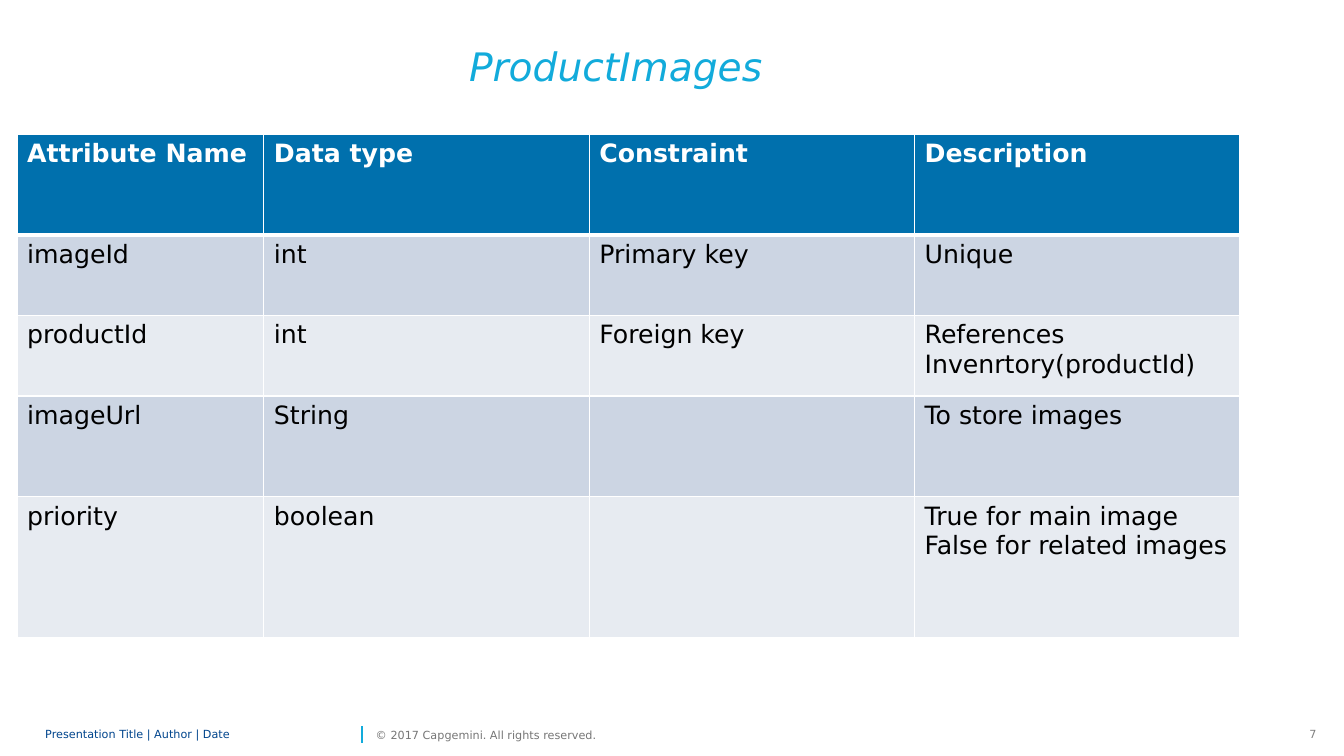
import pptx
import pptx.util
import pptx.dml.color
import pptx.enum.shapes
import pptx.enum.text
import pptx.oxml
import pptx.oxml.ns
from pptx.util import Cm, Pt

RGB = pptx.dml.color.RGBColor
ALIGN = pptx.enum.text.PP_ALIGN
ANCHOR = pptx.enum.text.MSO_ANCHOR
FONT = "DejaVu Sans"
WHITE = RGB(0xFF, 0xFF, 0xFF)
BLACK = RGB(0, 0, 0)
CYAN = RGB(0x12, 0xAB, 0xDB)
BLUE = RGB(0x00, 0x70, 0xAD)
NAVY = RGB(0x00, 0x45, 0x8D)
GREY = RGB(0x76, 0x76, 0x76)
PALE = RGB(0x80, 0x80, 0x80)
BANDS = (RGB(0xE7, 0xEB, 0xF1), RGB(0xCC, 0xD5, 0xE3))

COLS = (6.22, 8.2, 8.2, 8.2)
ROWS = (
    (2.54, ("Attribute Name", "Data type", "Constraint", "Description")),
    (2.03, ("imageId", "int", "Primary key", "Unique")),
    (2.03, ("productId", "int", "Foreign key", "References Invenrtory(productId)")),
    (2.54, ("imageUrl", "String", "", "To store images")),
    (3.56, ("priority", "boolean", "", "True for main image\nFalse for related images")),
)


def write(frame, text, size=18, color=BLACK, bold=False, italic=False,
          align=ALIGN.LEFT, space=None, after=None):
    for i, line in enumerate(text.split("\n")):
        para = frame.add_paragraph() if i else frame.paragraphs[0]
        para.alignment = align
        para.line_spacing = space
        para.space_after = after
        run = para.add_run()
        run.text = line
        font = run.font
        font.name = FONT
        font.size = Pt(size)
        font.bold = bold
        font.italic = italic
        font.color.rgb = color


def clear(frame, anchor):
    frame.margin_left = frame.margin_right = 0
    frame.margin_top = frame.margin_bottom = 0
    frame.vertical_anchor = anchor


def add_title(slide, text):
    title = slide.shapes.title
    title.left, title.top = Cm(7.82), Cm(1.47)
    title.width, title.height = Cm(15.39), Cm(1.22)
    frame = title.text_frame
    frame.auto_size = pptx.enum.text.MSO_AUTO_SIZE.NONE
    clear(frame, ANCHOR.TOP)
    write(frame, text, size=28, color=CYAN, italic=True,
          align=ALIGN.CENTER, space=Pt(22), after=Pt(6))


def add_edge(cell, side, width):
    xml = (f'<a:{side} {pptx.oxml.ns.nsdecls("a")} w="{Pt(width)}">'
           f'<a:solidFill><a:srgbClr val="{WHITE}"/></a:solidFill></a:{side}>')
    cell._tc.get_or_add_tcPr().append(pptx.oxml.parse_xml(xml))


def add_grid(slide):
    heights = [row[0] for row in ROWS]
    table = slide.shapes.add_table(
        len(ROWS), len(COLS), Cm(0.43), Cm(3.38),
        Cm(sum(COLS)), Cm(sum(heights))).table
    for col, width in zip(table.columns, COLS):
        col.width = Cm(width)
    for r, (height, texts) in enumerate(ROWS):
        table.rows[r].height = Cm(height)
        head = r == 0
        for c, text in enumerate(texts):
            cell = table.cell(r, c)
            add_edge(cell, "lnL", 1)
            add_edge(cell, "lnR", 1)
            add_edge(cell, "lnT", 3 if r == 1 else 1)
            add_edge(cell, "lnB", 3 if head else 1)
            cell.fill.solid()
            cell.fill.fore_color.rgb = BLUE if head else BANDS[r % 2]
            if text:
                write(cell.text_frame, text, bold=head,
                      color=WHITE if head else BLACK)


def add_note(slide, text, left, width, wrap=False, flush=True, **style):
    box = slide.shapes.add_textbox(Cm(left), Cm(18.21), Cm(width), Cm(0.61))
    frame = box.text_frame
    frame.word_wrap = wrap
    if flush:
        clear(frame, ANCHOR.MIDDLE)
    write(frame, text, size=8, **style)


def add_bar(slide):
    bar = slide.shapes.add_connector(
        pptx.enum.shapes.MSO_CONNECTOR.STRAIGHT,
        Cm(9.12), Cm(18.72), Cm(9.12), Cm(18.29))
    bar.line.color.rgb = CYAN
    bar.line.width = Pt(1)
    bar._element.spPr.append(pptx.oxml.parse_xml(
        f'<a:effectLst {pptx.oxml.ns.nsdecls("a")}/>'))


def main():
    deck = pptx.Presentation()
    deck.slide_width, deck.slide_height = Cm(33.87), Cm(19.05)
    slide = deck.slides.add_slide(deck.slide_layouts[5])
    add_note(slide, "7", 32.74, 0.69, flush=False, color=PALE, align=ALIGN.RIGHT)
    add_bar(slide)
    add_note(slide, "Presentation Title | Author | Date", 1.14, 7.85,
             wrap=True, color=NAVY, space=0.85)
    add_note(slide, "© 2017 Capgemini. All rights reserved.", 9.47, 6.17, color=GREY)
    add_title(slide, "ProductImages")
    add_grid(slide)
    deck.save("out.pptx")


if __name__ == "__main__":
    main()
